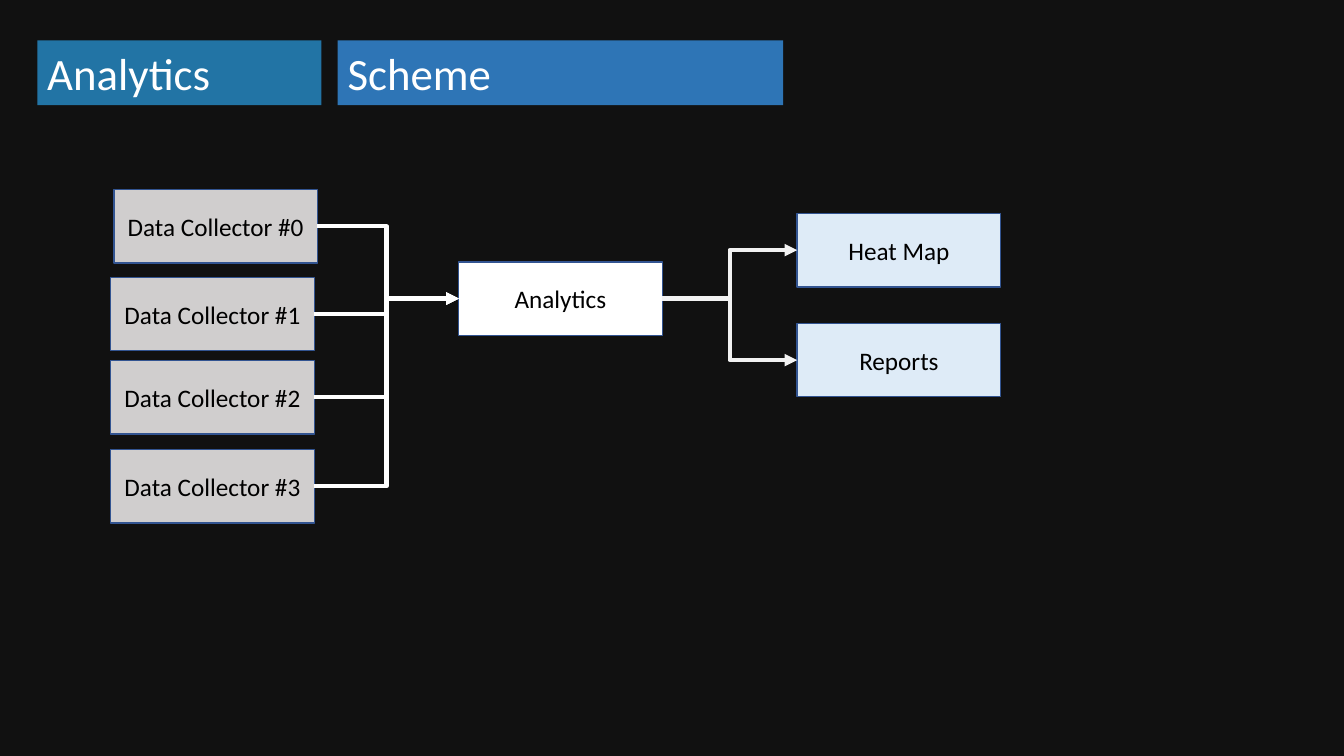
from dataclasses import dataclass

from lxml.etree import SubElement
from pptx import Presentation
from pptx.dml.color import RGBColor
from pptx.enum.shapes import MSO_CONNECTOR as Conn, MSO_SHAPE as Shp
from pptx.enum.text import MSO_ANCHOR as Anchor, MSO_AUTO_SIZE as Auto, PP_ALIGN as Align
from pptx.oxml.ns import qn
from pptx.shapes.autoshape import Shape
from pptx.slide import Slide
from pptx.util import Cm, Pt

BOX_W, BOX_H = 5.13, 1.85
TITLE_H = 1.63
RIGHT_SITE, LEFT_SITE = 3, 1
TITLE_FONT = {"name": "Calibri", "size": Pt(32)}
NODE_FONT = {"name": "Calibri", "size": Pt(18)}


@dataclass
class Title:
    """A heading bar; lengths in centimetres."""
    text: str
    left: float
    width: float
    fill: str


@dataclass
class Node:
    """A box of the scheme; lengths in centimetres."""
    text: str
    left: float
    top: float
    fill: str


TITLES = [Title("Analytics ", 0.94, 7.16, "2274A5"), Title("Scheme", 8.51, 11.23, "2E75B6")]
COLLECTORS = [
    Node(f"Data Collector #{i}", left, top, "D0CECE")
    for i, (left, top) in enumerate([(2.87, 4.78), (2.79, 6.99), (2.79, 9.09), (2.79, 11.33)])
]
ANALYTICS = Node("Analytics", 11.56, 6.6, "FFFFFF")
OUTPUTS = [Node("Heat Map", 20.09, 5.38, "DEEBF7"), Node("Reports", 20.09, 8.15, "DEEBF7")]
COLLECTOR_BUS_X = 9.74
OUTPUT_BUS_X = 18.39


def rgb(value: str) -> RGBColor:
    """Turn a hex string into a colour."""
    return RGBColor.from_string(value)


def add_rect(s: Slide, left: float, top: float, width: float, height: float, fill: str) -> Shape:
    """Add a plain filled rectangle."""
    sp = s.shapes.add_shape(Shp.RECTANGLE, Cm(left), Cm(top), Cm(width), Cm(height))
    sp.shadow.inherit = False
    sp.fill.solid()
    sp.fill.fore_color.rgb = rgb(fill)
    return sp


def write(sp: Shape, text: str, font: dict, color: str, align: Align, frame: dict) -> None:
    """Fill a shape with one formatted paragraph."""
    tf = sp.text_frame
    p = tf.paragraphs[0]
    p.alignment = align
    r = p.add_run()
    r.text = text
    r.font.color.rgb = rgb(color)
    for target, values in ((tf, frame), (r.font, font)):
        for name, value in values.items():
            setattr(target, name, value)


def add_title(s: Slide, title: Title) -> None:
    """Draw a heading bar."""
    sp = add_rect(s, title.left, 1.02, title.width, TITLE_H, title.fill)
    sp.line.fill.background()
    frame = {"word_wrap": True, "vertical_anchor": Anchor.TOP, "auto_size": Auto.SHAPE_TO_FIT_TEXT}
    write(sp, title.text, TITLE_FONT, "FFFFFF", Align.LEFT, frame)


def add_node(s: Slide, node: Node) -> Shape:
    """Draw a box of the scheme."""
    sp = add_rect(s, node.left, node.top, BOX_W, BOX_H, node.fill)
    sp.line.color.rgb = rgb("325491")
    sp.line.width = Pt(1)
    frame = {"word_wrap": True, "vertical_anchor": Anchor.MIDDLE}
    write(sp, node.text, NODE_FONT, "000000", Align.CENTER, frame)
    return sp


def add_arrow(s: Slide, start: Shape, end: Shape, bus_x: float, color: str) -> None:
    """Join two boxes by an elbow arrow that turns at bus_x."""
    c = s.shapes.add_connector(Conn.ELBOW, 0, 0, 0, 0)
    c.begin_connect(start, RIGHT_SITE)
    c.end_connect(end, LEFT_SITE)
    c.line.color.rgb = rgb(color)
    c.line.width = Pt(3)
    sp_pr = c._element.spPr
    bend = round((Cm(bus_x) - c.begin_x) / (c.end_x - c.begin_x) * 100000)
    guides = sp_pr.find(qn("a:prstGeom")).get_or_add_avLst()
    SubElement(guides, qn("a:gd"), name="adj1", fmla=f"val {bend}")
    SubElement(sp_pr.find(qn("a:ln")), qn("a:tailEnd"), type="triangle")
    SubElement(sp_pr, qn("a:effectLst"))


def main() -> None:
    """Build and save the slide."""
    prs = Presentation()
    prs.slide_width, prs.slide_height = Cm(33.87), Cm(19.05)
    s = prs.slides.add_slide(prs.slide_layouts[6])
    s.background.fill.solid()
    s.background.fill.fore_color.rgb = rgb("111111")

    for title in TITLES:
        add_title(s, title)
    analytics = add_node(s, ANALYTICS)
    for node in COLLECTORS:
        add_arrow(s, add_node(s, node), analytics, COLLECTOR_BUS_X, "FFFFFF")
    for node in OUTPUTS:
        add_arrow(s, analytics, add_node(s, node), OUTPUT_BUS_X, "F2F2F2")
    prs.save("out.pptx")


main()
